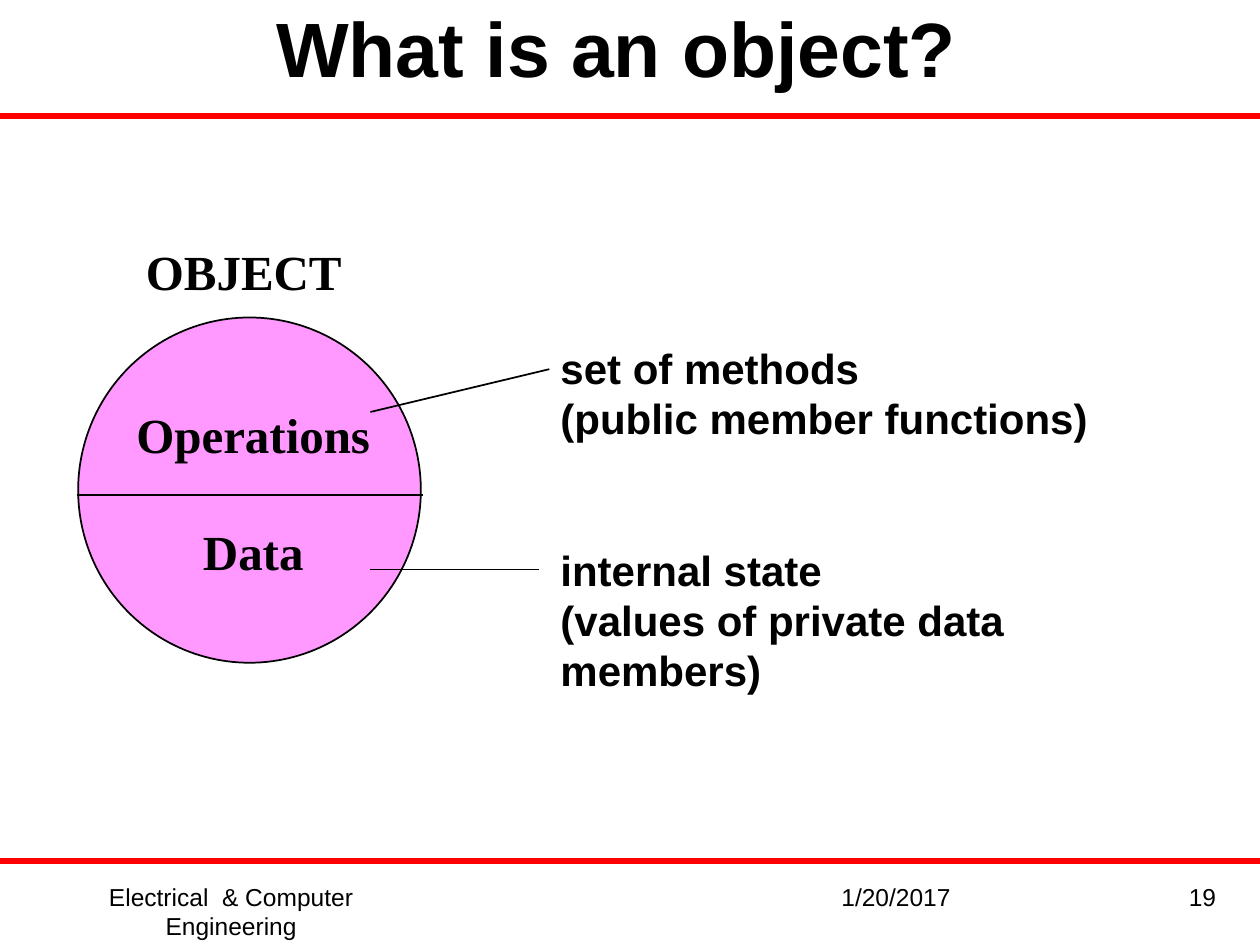
from dataclasses import dataclass

from lxml import etree
from pptx import Presentation
from pptx import util as u
from pptx.dml.color import RGBColor
from pptx.enum import shapes, text

WIDE, HIGH = 10, 7.5


@dataclass(frozen=True)
class Theme:
    """Colours, fonts and type sizes of the slide."""
    ink: str = "000000"
    rule: str = "FF0000"
    disc: str = "FF99FF"
    sans: str = "Arial"
    serif: str = "Times New Roman"
    title: int = 44
    label: int = 28
    note: int = 24
    foot: int = 14
    thick: float = 3.5
    thin: float = 1
    blank: float = 1.2  # height of one skipped line, in type sizes


T = Theme()
LABEL = dict(size=T.label, font=T.serif, bold=True)
NOTE = dict(size=T.note, bold=True)

# box (left, top, width, height), lines, format;
# a line is its text and the count of lines skipped above it
TEXTS = [
    ((0, 0.02, 9.79, 0.77), [("What is an object?", 0)],
     dict(size=T.title, bold=True, align="CENTER", anchor="BOTTOM")),
    ((1.06, 1.87, 1.76, 0.57), [("OBJECT", 0)], LABEL),
    ((0.98, 3.16, 2.06, 1.5), [("Operations", 0), ("Data", 1)],
     dict(LABEL, align="CENTER")),
    ((4.35, 2.67, 5.3, 2.5),
     [("set of methods", 0), ("(public member functions)", 0),
      ("internal state", 2), ("(values of private data members)", 0)], NOTE),
]
FOOT_TOP, FOOT_HIGH = 6.95, 0.52
FEET = [
    (0.25, 3.17, "Electrical  & Computer Engineering", "CENTER"),
    (6.58, 2.33, "1/20/2017", "LEFT"),
    (9.17, 0.58, "19", "RIGHT"),
]
RULES = [0.92, 6.83]
DISC = (0.62, 2.52, 2.72, 2.74)
LINKS = [
    (2.94, 3.27, 4.36, 2.93),
    (2.94, 4.52, 4.28, 4.52),
    (0.61, 3.93, 3.36, 3.93),
]


def inch(box):
    """Turn a tuple of inches into lengths."""
    return [u.Inches(v) for v in box]


def rgb(code):
    """Turn a hex code into a colour."""
    return RGBColor.from_string(code)


def write(slide, box, lines, size, font=T.sans, bold=False,
          align="LEFT", anchor="TOP"):
    """Add a text box with one paragraph for each line."""
    frame = slide.shapes.add_textbox(*inch(box)).text_frame
    frame.word_wrap = True
    frame.vertical_anchor = getattr(text.MSO_ANCHOR, anchor)
    for i, (words, skip) in enumerate(lines):
        para = frame.paragraphs[0] if i == 0 else frame.add_paragraph()
        para.alignment = getattr(text.PP_ALIGN, align)
        para.space_before = u.Pt(skip * size * T.blank)
        run = para.add_run()
        run.text = words
        run.font.name, run.font.size = font, u.Pt(size)
        run.font.bold = bold
        run.font.color.rgb = rgb(T.ink)


def link(slide, ends, color=T.ink, width=T.thin):
    """Add a straight line without shadow."""
    line = slide.shapes.add_connector(shapes.MSO_CONNECTOR.STRAIGHT,
                                      *inch(ends))
    line.line.color.rgb = rgb(color)
    line.line.width = u.Pt(width)
    props = line._element.spPr
    etree.SubElement(props, props.nsmap["a"].join("{}") + "effectLst")


def disc(slide, box):
    """Add the circle that stands for the object."""
    shape = slide.shapes.add_shape(shapes.MSO_SHAPE.OVAL, *inch(box))
    shape.shadow.inherit = False
    shape.fill.solid()
    shape.fill.fore_color.rgb = rgb(T.disc)
    shape.line.color.rgb = rgb(T.ink)
    shape.line.width = u.Pt(T.thin)


def main():
    """Build and save the slide."""
    deck = Presentation()
    deck.slide_width, deck.slide_height = inch((WIDE, HIGH))
    slide = deck.slides.add_slide(deck.slide_layouts[6])
    for y in RULES:
        link(slide, (0, y, WIDE, y), T.rule, T.thick)
    disc(slide, DISC)
    for box, lines, form in TEXTS:
        write(slide, box, lines, **form)
    for ends in LINKS:
        link(slide, ends)
    for left, width, words, align in FEET:
        write(slide, (left, FOOT_TOP, width, FOOT_HIGH), [(words, 0)],
              size=T.foot, align=align)
    deck.save("out.pptx")


main()
